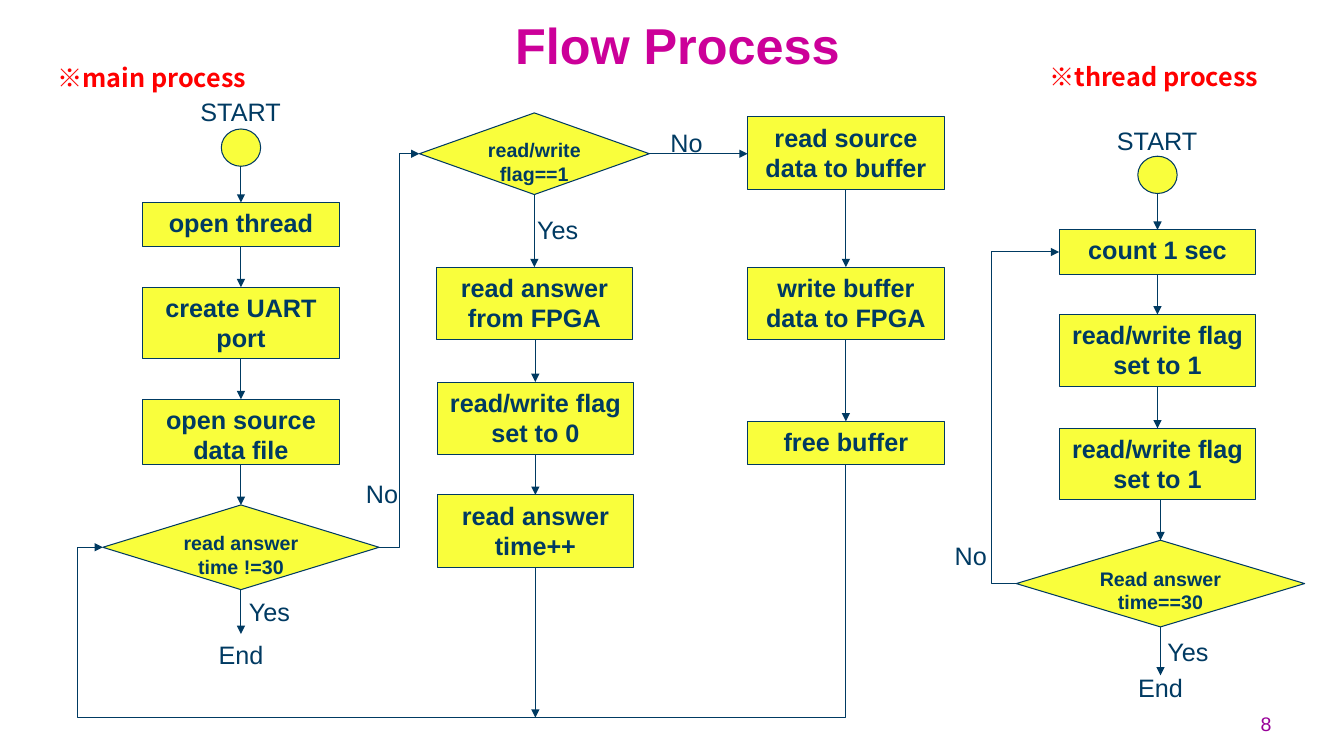
from itertools import pairwise

from lxml import etree
from pptx import Presentation
from pptx.dml.color import RGBColor
from pptx.enum.shapes import MSO_CONNECTOR, MSO_SHAPE
from pptx.enum.text import MSO_ANCHOR, PP_ALIGN
from pptx.oxml.ns import qn
from pptx.util import Inches, Pt

STRAIGHT, ELBOW = MSO_CONNECTOR.STRAIGHT, MSO_CONNECTOR.ELBOW
START, STEP, DECISION = MSO_SHAPE.OVAL, MSO_SHAPE.RECTANGLE, MSO_SHAPE.FLOWCHART_DECISION
LEFT, CENTER, RIGHT = PP_ALIGN.LEFT, PP_ALIGN.CENTER, PP_ALIGN.RIGHT
TOP, MIDDLE = MSO_ANCHOR.TOP, MSO_ANCHOR.MIDDLE

COLORS = {"ink": "003A62", "node": "F9FE3C", "title": "CC0099",
          "heading": "FF0000", "page": "990099"}
BODY_FONT, HEADING_FONT = "Arial", "Noto Sans CJK SC"
STEP_WIDTH = 1.95
START_WIDTH, START_HEIGHT = 0.39, 0.37

# Each column runs downwards: (kind, text, centre x, top, width, height)
COLUMNS = {
    "setup": [
        (START, "", 2.39, 1.28, START_WIDTH, START_HEIGHT),
        (STEP, "open thread", 2.39, 2.01, STEP_WIDTH, 0.44),
        (STEP, "create UART port", 2.39, 2.85, STEP_WIDTH, 0.71),
        (STEP, "open source data file", 2.39, 3.96, STEP_WIDTH, 0.65),
        (DECISION, "read answer time !=30", 2.39, 5.01, 2.74, 0.84),
    ],
    "answer": [
        (DECISION, "read/write flag==1", 5.3, 1.12, 2.28, 0.81),
        (STEP, "read answer from FPGA", 5.3, 2.65, STEP_WIDTH, 0.72),
        (STEP, "read/write flag set to 0", 5.31, 3.79, STEP_WIDTH, 0.72),
        (STEP, "read answer time++", 5.31, 4.91, STEP_WIDTH, 0.72),
    ],
    "buffer": [
        (STEP, "read source data to buffer", 8.39, 1.16, STEP_WIDTH, 0.72),
        (STEP, "write buffer data to FPGA", 8.39, 2.65, STEP_WIDTH, 0.72),
        (STEP, "free buffer", 8.39, 4.18, STEP_WIDTH, 0.43),
    ],
    "thread": [
        (START, "", 11.48, 1.55, START_WIDTH, START_HEIGHT),
        (STEP, "count 1 sec", 11.48, 2.28, STEP_WIDTH, 0.44),
        (STEP, "read/write flag set to 1", 11.48, 3.12, STEP_WIDTH, 0.71),
        (STEP, "read/write flag set to 1", 11.48, 4.25, STEP_WIDTH, 0.71),
        (DECISION, "Read answer time==30", 11.51, 5.36, 2.86, 0.86),
    ],
}
LABELS = [  # text, left, top, width
    ("START", 1.89, 0.91, 1), ("START", 10.98, 1.19, 1),
    ("Yes", 5.23, 2.08, 0.62), ("No", 6.55, 1.21, 0.62),
    ("No", 3.53, 4.7, 0.62), ("Yes", 2.37, 5.87, 0.62),
    ("No", 9.37, 5.31, 0.62), ("Yes", 11.48, 6.26, 0.62),
    ("End", 2.07, 6.29, 0.65), ("End", 11.19, 6.62, 0.65),
]
HEADINGS = [("※main process", 0.47, 0.57), ("※thread process", 10.31, 0.56)]
LABEL_HEIGHT, HEADING_WIDTH = 0.4, 2.37
SETUP_END, THREAD_END = 6.29, 6.7
RETURN_X, RETURN_Y = 0.77, 7.12
THREAD_RETURN_BEND = -0.58

prs = Presentation()
prs.slide_width, prs.slide_height = Inches(13.33), Inches(7.5)
slide = prs.slides.add_slide(prs.slide_layouts[6])
shapes = slide.shapes


def rgb(name):
    return RGBColor.from_string(COLORS[name])


def write(shape, text, size, color="ink", font=BODY_FONT, bold=False,
          align=LEFT, anchor=TOP, spacing=None, side_inset=0.1):
    frame = shape.text_frame
    frame.word_wrap = True
    frame.vertical_anchor = anchor
    frame.margin_left = frame.margin_right = Inches(side_inset)
    paragraph = frame.paragraphs[0]
    paragraph.alignment = align
    paragraph.line_spacing = spacing
    run = paragraph.add_run()
    run.text = text
    run.font.name, run.font.size, run.font.bold = font, Pt(size), bold
    run.font.color.rgb = rgb(color)


def add_label(text, left, top, width, height, size=18, **style):
    box = shapes.add_textbox(Inches(left), Inches(top), Inches(width), Inches(height))
    write(box, text, size, **style)


def add_node(kind, text, center, top, width, height):
    node = shapes.add_shape(kind, Inches(center - width / 2), Inches(top),
                            Inches(width), Inches(height))
    node.shadow.inherit = False
    node.fill.solid()
    node.fill.fore_color.rgb = rgb("node")
    node.line.color.rgb = rgb("ink")
    node.line.width = Pt(0.75)
    if text:
        size, inset = (14, 0.05) if kind == DECISION else (18, 0.1)
        write(node, text, size, bold=True, align=CENTER, side_inset=inset)


def style_arrow(arrow):
    arrow.line.color.rgb = rgb("ink")
    arrow.line.width = Pt(0.75)
    etree.SubElement(arrow.line._get_or_add_ln(), qn("a:tailEnd"), type="triangle")


def add_arrow(start, end, kind=STRAIGHT, bend=None):
    """Join two points; bend places the elbow as a share of the width."""
    arrow = shapes.add_connector(kind, *map(Inches, start + end))
    style_arrow(arrow)
    properties = arrow._element.spPr
    etree.SubElement(properties, qn("a:effectLst"))
    if bend is not None:
        guides = properties.find(qn("a:prstGeom")).get_or_add_avLst()
        etree.SubElement(guides, qn("a:gd"), name="adj1", fmla=f"val {round(bend * 100000)}")


def add_route(points):
    """Draw an open path with several bends and an arrowhead at its end."""
    corners = [tuple(map(Inches, point)) for point in points]
    builder = shapes.build_freeform(*corners[0])
    builder.add_line_segments(corners[1:], close=False)
    route = builder.convert_to_shape()
    route.shadow.inherit = False
    route.fill.background()
    style_arrow(route)


def bottom(node):
    return node[2], node[3] + node[5]


def side(node, direction):
    """Middle of the left (-1) or right (1) edge."""
    _, _, center, top, width, height = node
    return center + direction * width / 2, top + height / 2


add_label("Flow Process", 0.56, 0.17, 12.32, 0.62, 36, color="title", bold=True,
          align=CENTER, anchor=MIDDLE, spacing=0.87)
add_label("8", 10.32, 7.05, 2.39, 0.45, 14, color="page", align=RIGHT, spacing=0.85)
for text, left, top in HEADINGS:
    add_label(text, left, top, HEADING_WIDTH, LABEL_HEIGHT, color="heading",
              font=HEADING_FONT, bold=True)

for column in COLUMNS.values():
    for node in column:
        add_node(*node)
    for upper, lower in pairwise(column):
        center = lower[2]
        add_arrow((center, bottom(upper)[1]), (center, lower[3]))

answer_check, flag_check = COLUMNS["setup"][-1], COLUMNS["answer"][0]
last_answer, free_buffer = COLUMNS["answer"][-1], COLUMNS["buffer"][-1]
thread_check, count_step = COLUMNS["thread"][-1], COLUMNS["thread"][1]

for source, end_y in ((answer_check, SETUP_END), (thread_check, THREAD_END),
                      (last_answer, RETURN_Y)):
    add_arrow(bottom(source), (source[2], end_y))
flag_no = side(flag_check, 1)
add_arrow(flag_no, (side(COLUMNS["buffer"][0], -1)[0], flag_no[1]))
add_arrow(side(answer_check, 1), side(flag_check, -1), ELBOW)
add_arrow(side(thread_check, -1), side(count_step, -1), ELBOW, THREAD_RETURN_BEND)

loop_start, loop_end = bottom(free_buffer), side(answer_check, -1)
add_route([loop_start, (loop_start[0], RETURN_Y), (RETURN_X, RETURN_Y),
           (RETURN_X, loop_end[1]), loop_end])

for text, left, top, width in LABELS:
    add_label(text, left, top, width, LABEL_HEIGHT)

prs.save("out.pptx")
